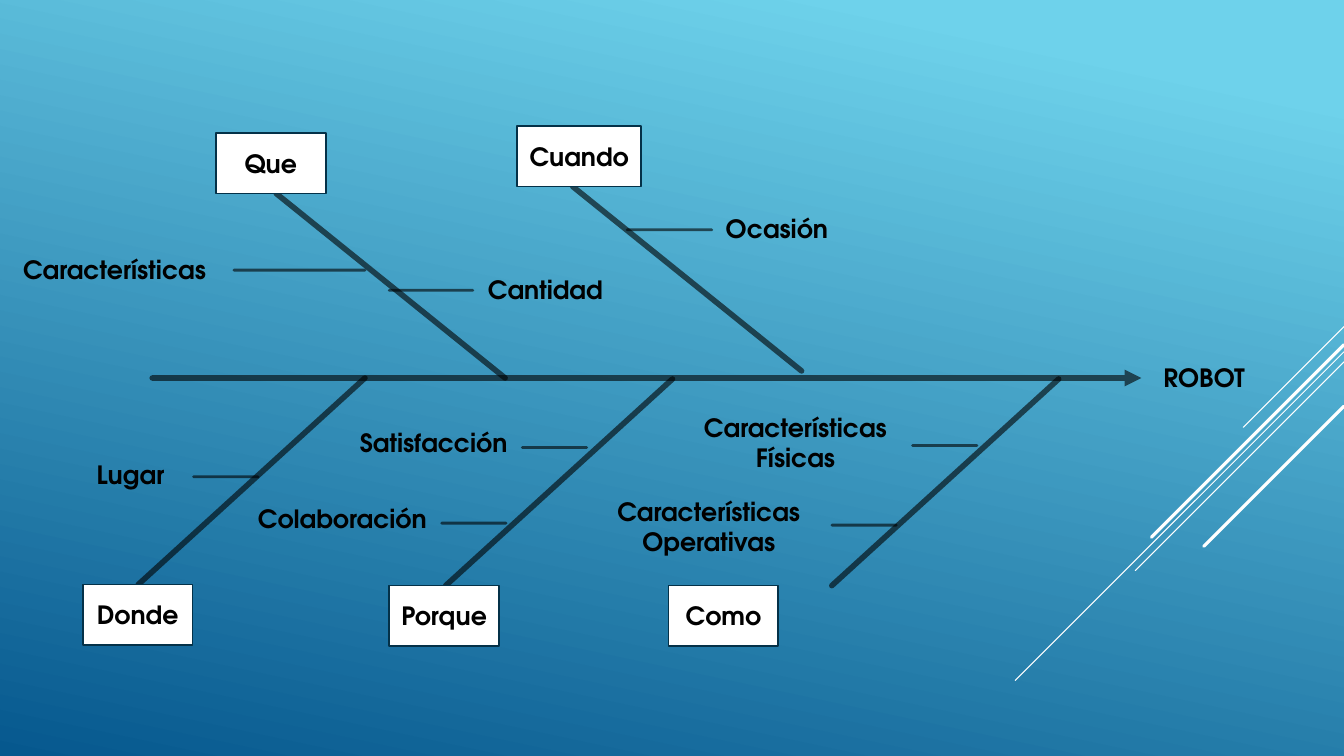
import pptx
import pptx.util
import pptx.dml.color
import pptx.enum.shapes
import pptx.enum.text
import pptx.oxml.ns
import lxml.etree

deck = pptx.Presentation()
deck.slide_width = pptx.util.Inches(13.33)
deck.slide_height = pptx.util.Inches(7.5)
slide = deck.slides.add_slide(deck.slide_layouts[6])
shapes = slide.shapes

# Grid: 75 rows, square cells, so 133.3 columns
cell = deck.slide_height / 75
edge = 133.3
hues = {"sky": "6ED2EB", "deep": "06588E", "white": "FFFFFF",
        "ink": "000000", "rim": "043148"}
rgb = {name: pptx.dml.color.RGBColor.from_string(code) for name, code in hues.items()}
qn = pptx.oxml.ns.qn


def draw(x, y, dx, dy, width, hue, alpha=None, head=False):
    ends = [round(cell * n) for n in (x, y, x + dx, y + dy)]
    line = shapes.add_connector(pptx.enum.shapes.MSO_CONNECTOR.STRAIGHT, *ends)
    line.line.width = pptx.util.Pt(width)
    line.line.color.rgb = rgb[hue]
    props = line._element.spPr
    stroke = props.find(qn("a:ln"))
    stroke.set("cap", "rnd")
    if alpha:
        tint = stroke.find(".//" + qn("a:srgbClr"))
        lxml.etree.SubElement(tint, qn("a:alpha")).set("val", str(alpha * 1000))
    if head:
        lxml.etree.SubElement(stroke, qn("a:tailEnd")).set("type", "triangle")
    lxml.etree.SubElement(props, qn("a:effectLst"))


def write(shape, text, align):
    frame = shape.text_frame
    frame.text = text
    for para in frame.paragraphs:
        para.alignment = align
        for run in para.runs:
            run.font.name = "TeX Gyre Adventor"
            run.font.size = pptx.util.Pt(18)
            run.font.bold = True
            run.font.color.rgb = rgb["ink"]


left = pptx.enum.text.PP_ALIGN.LEFT
center = pptx.enum.text.PP_ALIGN.CENTER

# Background
fill = slide.background.fill
fill.gradient()
fill.gradient_angle = 258
for stop, (hue, place) in zip(fill.gradient_stops, (("sky", 0.1), ("deep", 1))):
    stop.color.rgb = rgb[hue]
    stop.position = place

# Diagonal streaks from the right edge: row, run, width
for row, run, width in ((32.4, 10, 0.75), (34.9, 32.6, 0.75), (35.9, 20.7, 0.75),
                        (34.2, 19.1, 2.25), (40.3, 13.9, 2.25)):
    draw(edge, row, -run, run, width, "white")

# Spine
draw(15.1, 37.5, 98.1, 0, 4, "ink", 60, head=True)

# Bones with their boxes: text, column, row, width, bone column, above spine
tall = 6
for text, col, row, wide, foot, above in (
        ("Donde", 8.2, 58, 10.9, 13.7, False),
        ("Porque", 38.6, 58.1, 10.9, 44.2, False),
        ("Como", 66.3, 58.1, 10.9, 82.5, False),
        ("Que", 21.4, 13.2, 10.9, 27.4, True),
        ("Cuando", 51.3, 12.5, 12.3, 56.8, True)):
    if above:
        draw(foot, row + tall, 22.7, 18.3, 4, "ink", 60)
    else:
        draw(foot, row, 22.5, -20.5, 4, "ink", 60)
    box = shapes.add_shape(pptx.enum.shapes.MSO_SHAPE.RECTANGLE,
                           *[round(cell * n) for n in (col, row, wide, tall)])
    box.shadow.inherit = False
    box.fill.solid()
    box.fill.fore_color.rgb = rgb["white"]
    box.line.color.rgb = rgb["rim"]
    box.line.width = pptx.util.Pt(1.25)
    box.text_frame.vertical_anchor = pptx.enum.text.MSO_ANCHOR.MIDDLE
    write(box, text, center)

# Twigs: column, row, length
for col, row, size in ((23.2, 26.8, 13), (38.6, 28.8, 8.3), (62.2, 22.8, 8.4),
                       (19.2, 47.3, 6.4), (51.8, 44.4, 6.4), (43.8, 51.9, 6.4),
                       (90.5, 44.2, 6.4), (82.5, 52.1, 6.4)):
    draw(col, row, size, 0, 2, "ink", 60)

# Labels: text, column, row, width
for text, col, row, wide in (
        ("Características", 1.3, 24.7, 21.1),
        ("Cantidad", 47.4, 26.7, 13.9),
        ("ROBOT", 114.4, 35.5, 10.5),
        ("Ocasión", 71, 20.7, 12.3),
        ("Lugar", 8.6, 45.1, 8.8),
        ("Satisfacción", 34.7, 41.9, 16.8),
        ("Colaboración", 24.6, 49.4, 19),
        ("Características\nFísicas", 68.7, 40.4, 20.4),
        ("Características\nOperativas", 60.1, 48.7, 20.4)):
    pair = "\n" in text
    high = 7.1 if pair else 4
    label = shapes.add_textbox(*[round(cell * n) for n in (col, row, wide, high)])
    label.text_frame.word_wrap = False
    label.text_frame.auto_size = pptx.enum.text.MSO_AUTO_SIZE.SHAPE_TO_FIT_TEXT
    write(label, text, center if pair else left)

deck.save("out.pptx")
